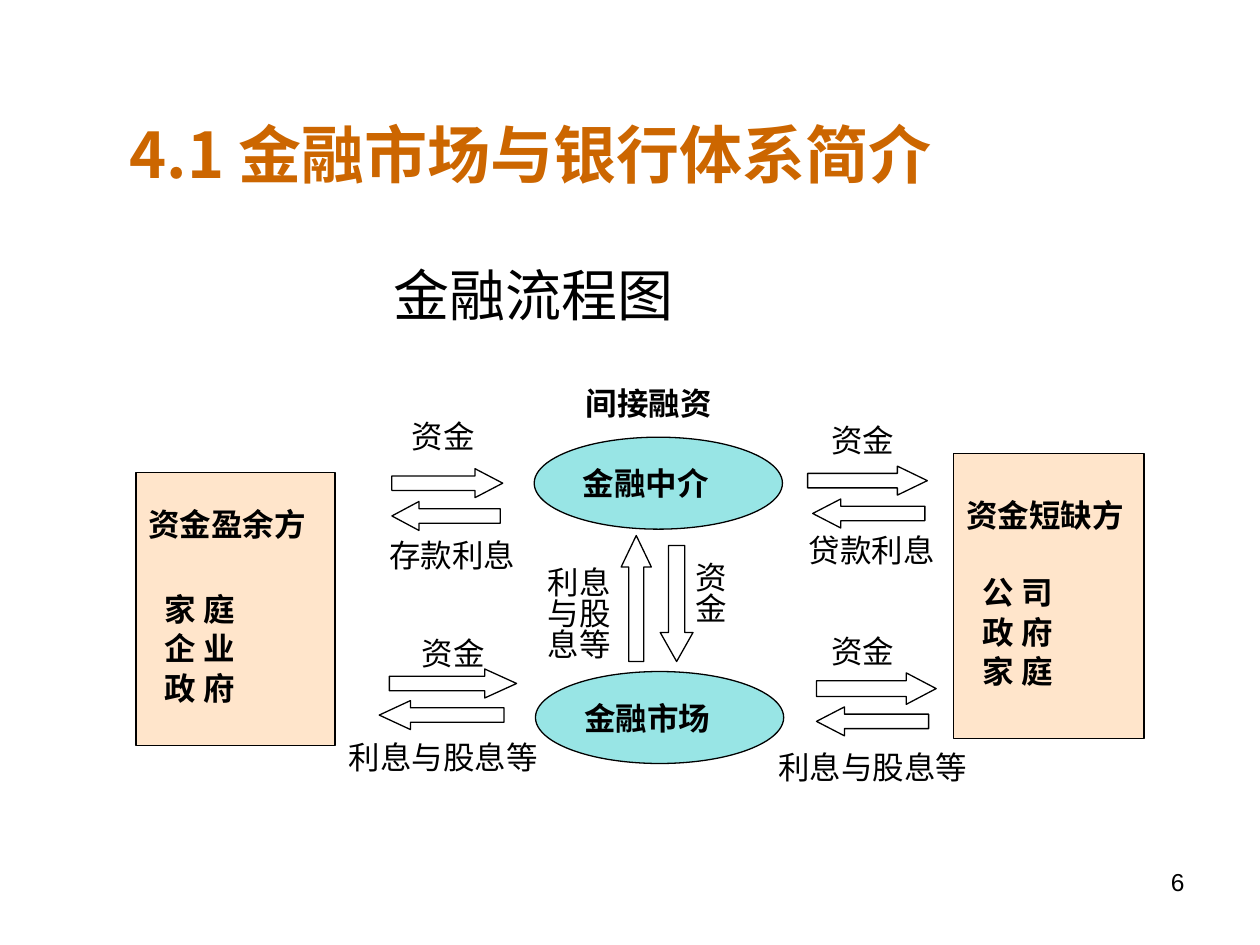
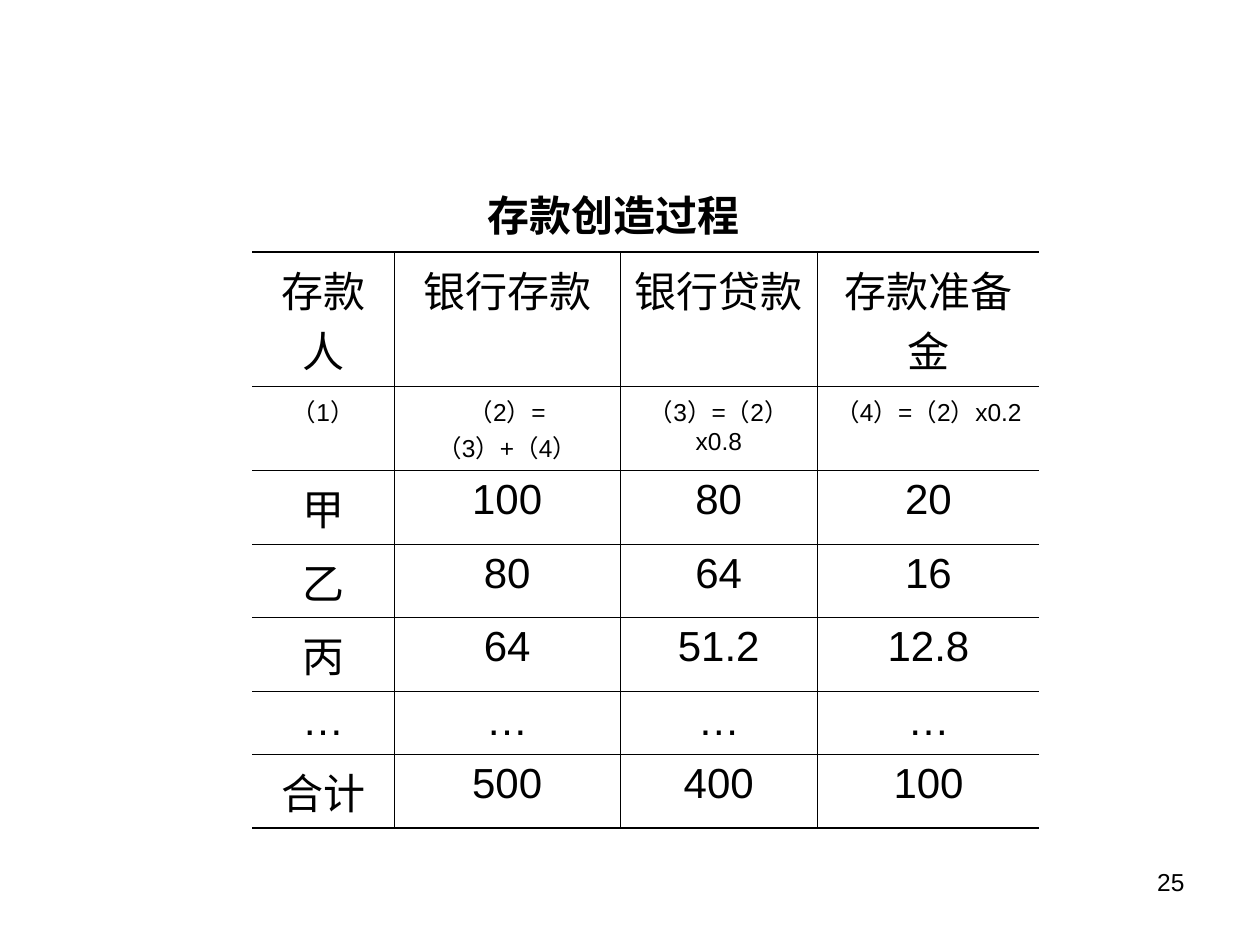
import pptx
import pptx.dml.color
import pptx.enum.shapes
import pptx.enum.text
import pptx.oxml
import pptx.oxml.ns
import pptx.util
from lxml import etree

BLACK = pptx.dml.color.RGBColor(0x00, 0x00, 0x00)
WHITE = pptx.dml.color.RGBColor(0xFF, 0xFF, 0xFF)
ORANGE = pptx.dml.color.RGBColor(0xCC, 0x66, 0x00)
PEACH = pptx.dml.color.RGBColor(0xFF, 0xCC, 0x99)
TEAL = pptx.dml.color.RGBColor(0x33, 0xCC, 0xCC)
CJK, LATIN = "Noto Sans CJK SC", "Arial"
COLUMNS, ROWS = 100, 75
WIDTH, HEIGHT = pptx.util.Inches(10), pptx.util.Inches(7.5)
SHAPES = pptx.enum.shapes.MSO_SHAPE
ALIGN = pptx.enum.text.PP_ALIGN
ANCHOR = pptx.enum.text.MSO_ANCHOR
THIN, THICK = 0.45, 1.08


def across(columns):
    """Convert grid columns to a length."""
    return round(WIDTH * columns / COLUMNS)


def down(rows):
    """Convert grid rows to a length."""
    return round(HEIGHT * rows / ROWS)


def area(left, top, width, height):
    """Convert a grid area to a position and a size."""
    return across(left), down(top), across(width), down(height)


def format_paragraph(para, size, name=CJK, color=BLACK, bold=False, align=ALIGN.JUSTIFY):
    """Set the font and alignment of one paragraph."""
    para.alignment = align
    para.font.size = pptx.util.Pt(size)
    para.font.name = name
    para.font.bold = bold
    para.font.color.rgb = color
    for span in para.runs:
        east_asian = etree.SubElement(span.font._element, pptx.oxml.ns.qn("a:ea"))
        east_asian.set("typeface", CJK)


def write(box, text, size=18, anchor=ANCHOR.MIDDLE, spacing=None, **style):
    """Write text into a shape, one paragraph a line."""
    frame = box.text_frame
    frame.text = text
    frame.word_wrap = True
    frame.auto_size = pptx.enum.text.MSO_AUTO_SIZE.NONE
    frame.vertical_anchor = anchor
    for para in frame.paragraphs:
        format_paragraph(para, size, **style)
        if spacing:
            para.line_spacing = spacing
    return frame


def fill_placeholder(box, place, text, **style):
    """Move a placeholder and write its text."""
    box.left, box.top, box.width, box.height = area(*place)
    return write(box, text, **style)


def add_label(page, place, text, **style):
    """Add a text box."""
    return write(page.shapes.add_textbox(*area(*place)), text, **style)


def add_page_number(page, number):
    """Add the number at the lower right."""
    add_label(page, (71.7, 68.3, 23.3, 5.2), number, size=14, name=LATIN,
              anchor=ANCHOR.TOP, align=ALIGN.RIGHT)


def add_outlined(page, kind, place, color, opacity=100):
    """Add a filled shape with a thin black outline."""
    shape = page.shapes.add_shape(kind, *area(*place))
    shape.shadow.inherit = False
    shape.fill.solid()
    shape.fill.fore_color.rgb = color
    shape.line.color.rgb = BLACK
    shape.line.width = pptx.util.Pt(0.75)
    if opacity < 100:
        tone = shape._element.spPr.find(".//" + pptx.oxml.ns.qn("a:srgbClr"))
        etree.SubElement(tone, pptx.oxml.ns.qn("a:alpha")).set("val", str(opacity * 1000))
    return shape


def add_party(page, place, heading, members, gap):
    """Add a box that lists the members of one side of the flow."""
    box = add_outlined(page, SHAPES.RECTANGLE, place, PEACH, 50)
    frame = write(box, "\n".join([heading, *members]), bold=True, spacing=0.83)
    for index, para in enumerate(frame.paragraphs[1:]):
        para.space_before = pptx.util.Pt(4.5 if index else gap)
        para._p.get_or_add_pPr().set("marL", str(across(1.3)))


def add_channel(page, place, text):
    """Add an ellipse for a channel of financing."""
    write(add_outlined(page, SHAPES.OVAL, place, TEAL, 50), text, bold=True)


def add_arrow(page, place, rotation):
    """Add a block arrow whose head takes a quarter of its length."""
    arrow = add_outlined(page, SHAPES.RIGHT_ARROW, place, WHITE)
    arrow.adjustments[1] = place[2] / 4 / place[3]
    arrow.rotation = rotation


def set_borders(cell, widths):
    """Set the left, right, top and bottom borders, where 0 means none."""
    properties = cell._tc.get_or_add_tcPr()
    for index, (side, width) in enumerate(zip("LRTB", widths)):
        paint = f'<a:solidFill><a:srgbClr val="{BLACK}"/></a:solidFill>' if width else "<a:noFill/>"
        border = pptx.oxml.parse_xml(
            f'<a:ln{side} {pptx.oxml.ns.nsdecls("a")} w="{pptx.util.Pt(width)}">{paint}</a:ln{side}>')
        properties.insert(index, border)


def add_ruled_table(page, place, column_widths, row_heights, records):
    """Add a table with thin inner rules and thick top and bottom rules."""
    last_row, last_column = len(records) - 1, len(column_widths) - 1
    table = page.shapes.add_table(len(records), len(column_widths), *area(*place)).table
    table.first_row = table.horz_banding = False
    for column, width in zip(table.columns, column_widths):
        column.width = across(width)
    for row, height in zip(table.rows, row_heights):
        row.height = down(height)
    for y, record in enumerate(records):
        for x, text in enumerate(record):
            cell = table.cell(y, x)
            cell.text = text
            cell.fill.background()
            set_borders(cell, (THIN if x else 0, THIN if x < last_column else 0,
                               THIN if y else THICK, THIN if y < last_row else THICK))
            para = cell.text_frame.paragraphs[0]
            format_paragraph(para, 14 if y == 1 else 24, LATIN, align=ALIGN.CENTER)
            para.space_before = pptx.util.Pt(3.5 if y == 1 else 6)


def build_flow_page(deck):
    """Build the page with the chart of financial flows."""
    page = deck.slides.add_slide(deck.slide_layouts[1])
    fill_placeholder(page.shapes.title, (7.5, 8.3, 69.2, 7.8), "4.1 金融市场与银行体系简介",
                     size=36, color=ORANGE, bold=True, align=ALIGN.CENTER)
    body = fill_placeholder(page.placeholders[1], (8.3, 20.8, 85, 45), "金融流程图", size=32,
                            name=LATIN, anchor=ANCHOR.TOP, align=ALIGN.LEFT, spacing=0.9)
    properties = body.paragraphs[0]._p.get_or_add_pPr()
    properties.set("marL", str(across(21.9)))
    properties.set("indent", "0")
    body.paragraphs[0].space_before = pptx.util.Pt(8)
    properties.find(pptx.oxml.ns.qn("a:spcBef")).addnext(
        pptx.oxml.parse_xml(f'<a:buNone {pptx.oxml.ns.nsdecls("a")}/>'))

    add_party(page, (10.8, 37.5, 15.8, 21.7), "资金盈余方", ["家 庭", "企 业", "政 府"], 30.5)
    add_party(page, (75.7, 36, 15.1, 22.6), "资金短缺方", ["公 司", "政 府", "家 庭"], 26.5)
    add_channel(page, (42.5, 53.3, 19.7, 7.3), "金融市场")
    add_channel(page, (42.4, 34.7, 19.7, 7.3), "金融中介")

    arrows = {
        0: [(31.1, 37.2, 8.8, 2.3), (64.1, 37, 9.5, 2.3),
            (30.9, 53.1, 10.1, 2.3), (64.8, 53.4, 9.5, 2.5)],
        180: [(31.1, 39.8, 8.6, 2.3), (64.5, 39.6, 8.9, 2.3),
              (30.1, 55.6, 9.9, 2.3), (64.8, 56.1, 8.9, 2.3)],
        270: [(45.5, 46.3, 10, 2.4)],
        90: [(49.1, 46.6, 9.2, 2.6)],
    }
    for rotation, places in arrows.items():
        for place in places:
            add_arrow(page, place, rotation)

    labels = [
        ("资金", (31.7, 32.5, 8.3, 4.2)), ("资金", (65, 33.3, 7.5, 3.3)),
        ("存款利息", (29.9, 41.3, 14.2, 5.5)), ("贷款利息", (63.2, 41.3, 12.7, 4.7)),
        ("资金", (32.5, 49.2, 8.3, 5.2)), ("资金", (65, 50, 8.3, 3.3)),
        ("利息与股息等", (26.7, 57.3, 17.8, 5.5)), ("利息与股息等", (60.8, 58.1, 17.9, 5.5)),
    ]
    for text, place in labels:
        add_label(page, place, text)
    add_label(page, (45.5, 28.3, 14.4, 7.3), "间接融资", bold=True)
    for text, place in [("利息与股息等", (42.5, 42.5, 8, 12.8)), ("资\n金", (54.2, 42.5, 5, 9.5))]:
        add_label(page, place, text, align=ALIGN.LEFT, spacing=0.83)
    add_page_number(page, "6")


def build_deposit_page(deck):
    """Build the page with the table of deposit creation."""
    page = deck.slides.add_slide(deck.slide_layouts[5])
    fill_placeholder(page.shapes.title, (30.8, 15, 35.8, 5), "存款创造过程", size=24, name=LATIN,
                     bold=True, anchor=ANCHOR.TOP, align=ALIGN.CENTER, spacing=0.9)
    records = [
        ("存款人", "银行存款", "银行贷款", "存款准备金"),
        ("（1）", "（2）=（3）+（4）", "（3）=（2）x0.8", "（4）=（2）x0.2"),
        ("甲", "100", "80", "20"),
        ("乙", "80", "64", "16"),
        ("丙", "64", "51.2", "12.8"),
        ("…",) * 4,
        ("合计", "500", "400", "100"),
    ]
    add_ruled_table(page, (20, 20, 62.5, 40.4), (11.3, 17.9, 15.7, 17.6),
                    (9.5, 5.7) + (5,) * 5, records)
    add_page_number(page, "25")


def main():
    """Build and save the deck."""
    deck = pptx.Presentation()
    deck.slide_width, deck.slide_height = WIDTH, HEIGHT
    build_flow_page(deck)
    build_deposit_page(deck)
    deck.save("out.pptx")


if __name__ == "__main__":
    main()
